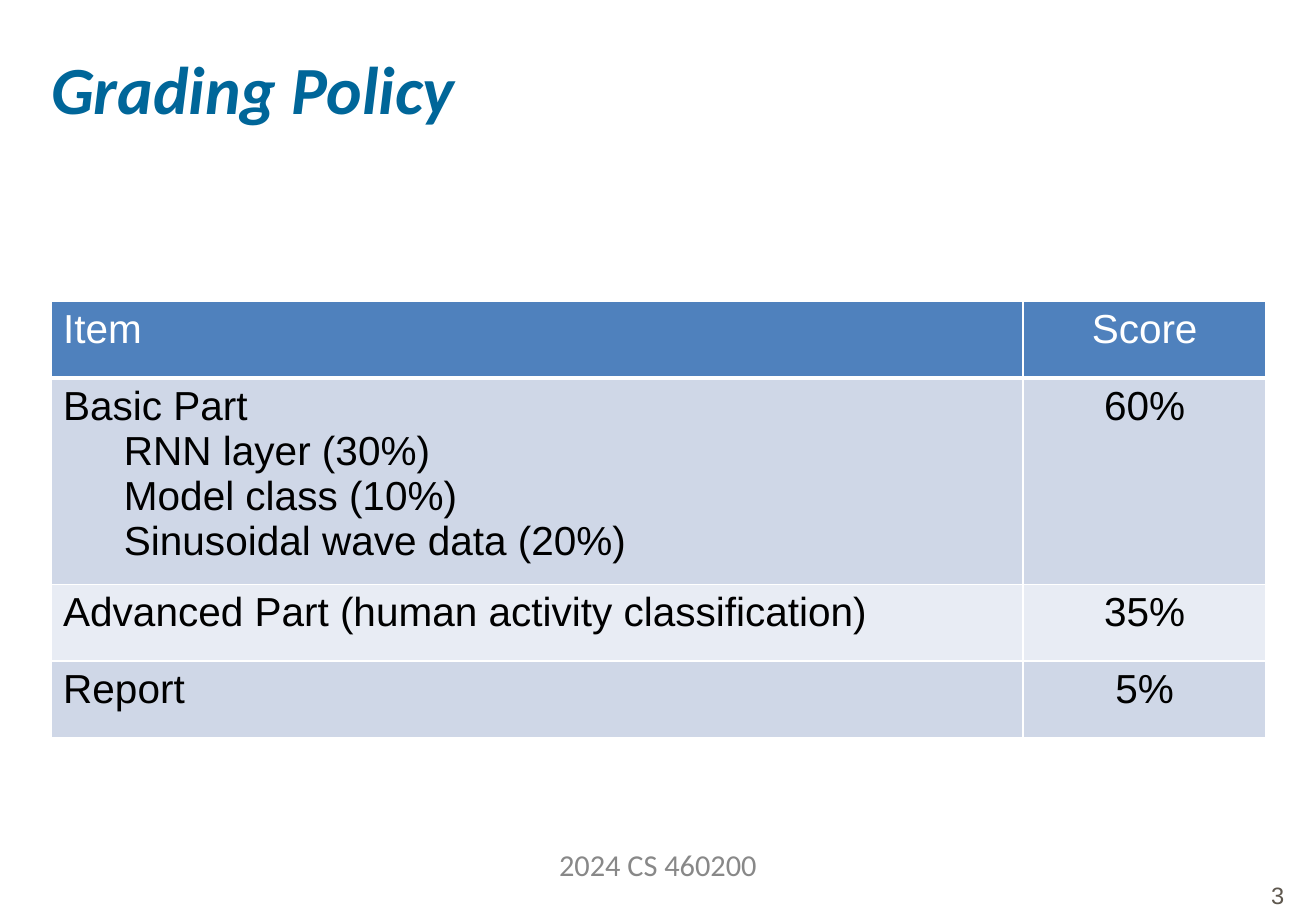
from dataclasses import dataclass

from lxml import etree
from pptx import Presentation
from pptx import util as u
from pptx.dml.color import RGBColor
from pptx.enum import text
from pptx.oxml import ns


@dataclass(frozen=True)
class Theme:
    title = dict(name="Calibri", size=u.Pt(40), bold=True, italic=True, color="006699")
    footer = dict(name="Calibri", size=u.Pt(18), color="888888")
    number = dict(name="Arial", size=u.Pt(14), color="5E574E")
    header = dict(name="Arial", size=u.Pt(24), bold=False, color="FFFFFF")
    body = dict(name="Arial", size=u.Pt(24), bold=False, color="000000")
    header_fill = "4F81BD"
    band_fills = ("E8ECF4", "CFD7E7")
    border = "FFFFFF"
    thin, thick = u.Pt(1), u.Pt(3)


THEME = Theme()
GRADES = [
    (["Item"], "Score"),
    (["Basic Part", "RNN layer (30%)", "Model class (10%)", "Sinusoidal wave data (20%)"], "60%"),
    (["Advanced Part (human activity classification)"], "35%"),
    (["Report"], "5%"),
]
COLUMN_WIDTHS = (8, 2)
ROW_HEIGHTS = (0.63, 1.7, 0.63, 0.63)


def write_paragraph(paragraph, words, style, alignment=text.PP_ALIGN.LEFT, indent=0):
    paragraph.alignment = alignment
    if indent:
        properties = paragraph._p.get_or_add_pPr()
        properties.set("marL", str(u.Inches(indent)))
        properties.set("indent", "0")
    run = paragraph.add_run()
    run.text = words
    for name, value in style.items():
        if name == "color":
            run.font.color.rgb = RGBColor.from_string(value)
        else:
            setattr(run.font, name, value)


def add_label(slide, box, words, style, **layout):
    shape = slide.shapes.add_textbox(*map(u.Inches, box))
    frame = shape.text_frame
    settings = dict(margin_left=0, margin_top=0, margin_right=0, margin_bottom=0, word_wrap=True)
    for name, value in settings.items():
        setattr(frame, name, value)
    write_paragraph(frame.paragraphs[0], words, style, **layout)
    return frame.paragraphs[0]


def set_borders(cell, widths):
    properties = cell._tc.get_or_add_tcPr()
    for side, width in widths.items():
        line = etree.SubElement(properties, ns.qn(f"a:ln{side}"), w=str(width))
        fill = etree.SubElement(line, ns.qn("a:solidFill"))
        etree.SubElement(fill, ns.qn("a:srgbClr"), val=THEME.border)


def fill_cell(cell, lines, row, alignment):
    set_borders(cell, {
        "L": THEME.thin,
        "R": THEME.thin,
        "T": THEME.thick if row == 1 else THEME.thin,
        "B": THEME.thick if row == 0 else THEME.thin,
    })
    cell.fill.solid()
    color = THEME.band_fills[row % 2] if row else THEME.header_fill
    cell.fill.fore_color.rgb = RGBColor.from_string(color)
    frame = cell.text_frame
    for index, words in enumerate(lines):
        paragraph = frame.add_paragraph() if index else frame.paragraphs[0]
        style = THEME.body if row else THEME.header
        write_paragraph(paragraph, words, style, alignment, indent=0.5 if index else 0)


def add_grades(slide, left, top):
    box = (left, top, sum(COLUMN_WIDTHS), sum(ROW_HEIGHTS))
    shape = slide.shapes.add_table(len(GRADES), len(COLUMN_WIDTHS), *map(u.Inches, box))
    table = shape.table
    for column, width in zip(table.columns, COLUMN_WIDTHS):
        column.width = u.Inches(width)
    for row, (items, score) in enumerate(GRADES):
        table.rows[row].height = u.Inches(ROW_HEIGHTS[row])
        fill_cell(table.cell(row, 0), items, row, text.PP_ALIGN.LEFT)
        fill_cell(table.cell(row, 1), [score], row, text.PP_ALIGN.CENTER)


def add_footer(slide, left, top):
    add_label(slide, (left, top, 3.47, 0.38), "2024 CS 460200", THEME.footer,
              alignment=text.PP_ALIGN.CENTER)
    number = add_label(slide, (left + 6.74, top + 0.24, 0.36, 0.25), "3", THEME.number, indent=0.04)
    number.line_spacing = 1.18


def main():
    presentation = Presentation()
    presentation.slide_width = u.Inches(10.83)
    presentation.slide_height = u.Inches(7.5)
    slide = presentation.slides.add_slide(presentation.slide_layouts[6])
    add_label(slide, (0.42, 0.39, 9.99, 0.69), "Grading Policy", THEME.title)
    add_grades(slide, 0.42, 2.48)
    add_footer(slide, 3.68, 6.97)
    presentation.save("out.pptx")


if __name__ == "__main__":
    main()
